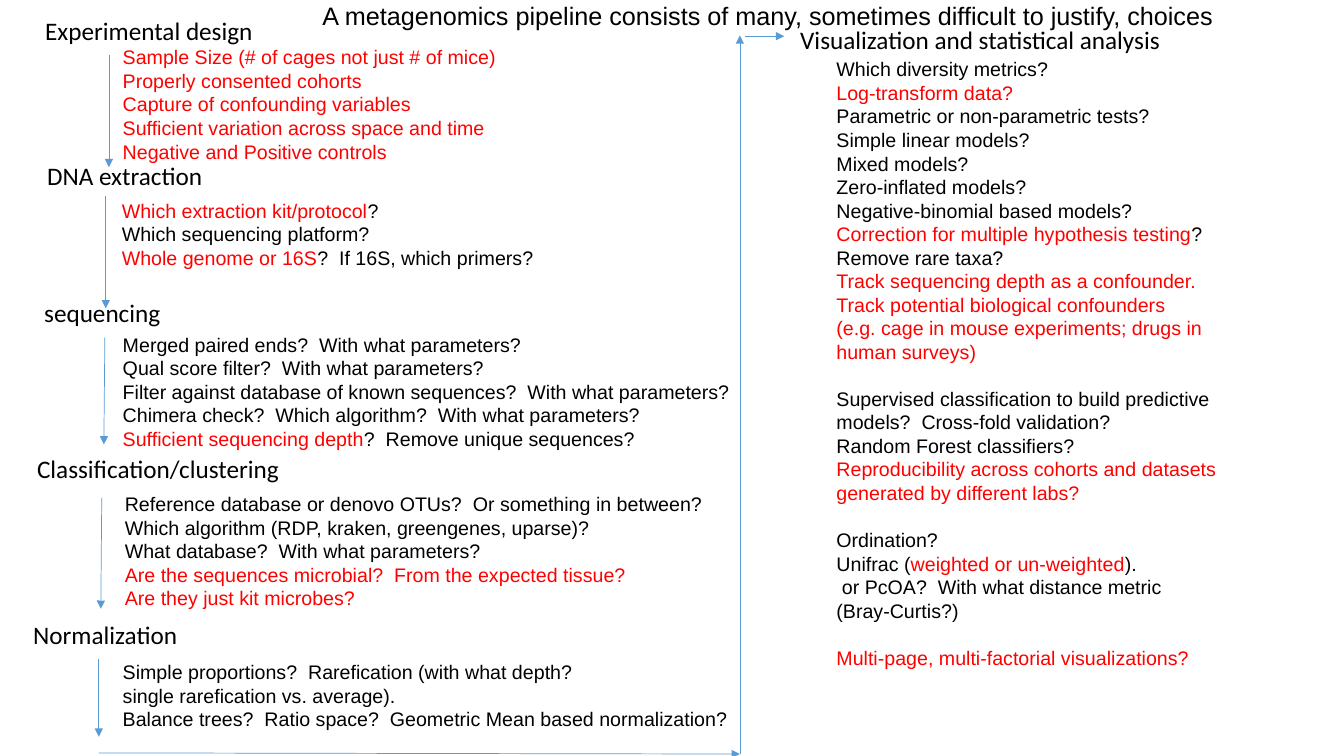
from dataclasses import dataclass
from typing import NamedTuple

from lxml.etree import SubElement
from pptx import Presentation
from pptx.dml.color import RGBColor
from pptx.enum.shapes import MSO_CONNECTOR
from pptx.enum.text import MSO_AUTO_SIZE
from pptx.oxml.ns import qn
from pptx.slide import Slide
from pptx.util import Pt


@dataclass(frozen=True)
class Theme:
    plain: RGBColor = RGBColor(0x00, 0x00, 0x00)
    emphasis: RGBColor = RGBColor(0xFF, 0x00, 0x00)
    flow: RGBColor = RGBColor(0x5B, 0x9B, 0xD5)
    flow_width: float = 0.5
    heading_height: float = 28.8
    group_gap: float = 16.8


THEME = Theme()
TITLE_FORMAT = {"name": "Arial", "size": Pt(18)}
HEADING_FORMAT = {"name": "Calibri", "size": Pt(18)}
CHOICE_FORMAT = {"name": "Arial", "size": Pt(14)}


class Phrase(NamedTuple):
    text: str
    color: RGBColor = THEME.plain


class Box(NamedTuple):
    left: float
    top: float
    width: float
    height: float = THEME.heading_height


class Arrow(NamedTuple):
    from_x: float
    from_y: float
    to_x: float
    to_y: float


Choice = tuple[Phrase, ...]
Group = list[Choice]


@dataclass(frozen=True)
class Stage:
    name: str
    name_box: Box
    choices_box: Box
    arrow: Arrow
    groups: list[Group]
    wrap: bool = False


def plain(*texts: str) -> Group:
    return [(Phrase(text),) for text in texts]


def key(*texts: str) -> Group:
    return [(Phrase(text, THEME.emphasis),) for text in texts]


def key_then_plain(emphasized: str, rest: str) -> Group:
    return [(Phrase(emphasized, THEME.emphasis), Phrase(rest))]


TITLE = "A metagenomics pipeline consists of many, sometimes difficult to justify, choices"

STAGES = [
    Stage(
        "Experimental design", Box(25.2, 7.2, 164.2), Box(80.6, 28.8, 285.8, 92.2),
        Arrow(77.8, 39.6, 77.8, 119.5),
        [key("Sample Size (# of cages not just # of mice)",
             "Properly consented cohorts",
             "Capture of confounding variables",
             "Sufficient variation across space and time",
             "Negative and Positive controls")],
    ),
    Stage(
        "DNA extraction", Box(26.6, 110.9, 126.7), Box(79.9, 138.2, 309.6, 58.3),
        Arrow(75.6, 139.7, 75.6, 220.3),
        [key_then_plain("Which extraction kit/protocol", "?")
         + plain("Which sequencing platform?")
         + key_then_plain("Whole genome or 16S", "?  If 16S, which primers?")],
    ),
    Stage(
        "sequencing", Box(24.5, 208.8, 98.6), Box(80.6, 234, 450, 92.2),
        Arrow(74.9, 241.2, 74.2, 317.5),
        [plain("Merged paired ends?  With what parameters?",
               "Qual score filter?  With what parameters?",
               "Filter against database of known sequences?  With what parameters?",
               "Chimera check?  Which algorithm?  With what parameters?")
         + key_then_plain("Sufficient sequencing depth", "?  Remove unique sequences?")],
    ),
    Stage(
        "Classification/clustering", Box(19.4, 320.4, 189.4), Box(82.1, 347.8, 429.1, 92.2),
        Arrow(72.7, 355.7, 72, 434.9),
        [plain("Reference database or denovo OTUs?  Or something in between?",
               "Which algorithm (RDP, kraken, greengenes, uparse)?",
               "What database?  With what parameters?")
         + key("Are the sequences microbial?  From the expected tissue?",
               "Are they just kit microbes?")],
    ),
    Stage(
        "Normalization", Box(16.6, 438.5, 118.8), Box(80.6, 468, 448.6, 58.3),
        Arrow(70.6, 470.9, 70.6, 526.3),
        [plain("Simple proportions?  Rarefication (with what depth?",
               "single rarefication vs. average).",
               "Balance trees?  Ratio space?  Geometric Mean based normalization?")],
    ),
    Stage(
        "Visualization and statistical analysis", Box(564.5, 13.7, 274.3),
        Box(590.4, 37.4, 362.9, 448.6), Arrow(532.1, 25.9, 560.2, 25.9),
        [plain("Which diversity metrics?")
         + key("Log-transform data?")
         + plain("Parametric or non-parametric tests?",
                 "Simple linear models?",
                 "Mixed models?",
                 "Zero-inflated models?",
                 "Negative-binomial based models?")
         + key_then_plain("Correction for multiple hypothesis testing", "?")
         + plain("Remove rare taxa?")
         + key("Track sequencing depth as a confounder.",
               "Track potential biological confounders",
               "(e.g. cage in mouse experiments; drugs in",
               "human surveys)"),
         plain("Supervised classification to build predictive",
               "models?  Cross-fold validation?",
               "Random Forest classifiers?")
         + key("Reproducibility across cohorts and datasets",
               "generated by different labs?"),
         plain("Ordination?")
         + [(Phrase("Unifrac ("),
             Phrase("weighted or un-weighted", THEME.emphasis),
             Phrase(")."))]
         + plain(" or PcOA?  With what distance metric", "(Bray-Curtis?)"),
         key("Multi-page, multi-factorial visualizations?")],
        wrap=True,
    ),
]

RETURN_PATH = [
    Arrow(70.6, 537.8, 528.5, 538.6),
    Arrow(528.5, 538.6, 528.5, 25.2),
]


def write_groups(slide: Slide, box: Box, groups: list[Group], font_format: dict,
                 wrap: bool = False) -> None:
    frame = slide.shapes.add_textbox(*map(Pt, box)).text_frame
    frame_format = {"word_wrap": wrap, "auto_size": MSO_AUTO_SIZE.SHAPE_TO_FIT_TEXT}
    for attribute, value in frame_format.items():
        setattr(frame, attribute, value)
    for group_index, group in enumerate(groups):
        for choice_index, choice in enumerate(group):
            starts_box = group_index == choice_index == 0
            paragraph = frame.paragraphs[0] if starts_box else frame.add_paragraph()
            if group_index and not choice_index:
                paragraph.space_before = Pt(THEME.group_gap)
            for phrase in choice:
                run = paragraph.add_run()
                run.text = phrase.text
                run.font.color.rgb = phrase.color
                for attribute, value in font_format.items():
                    setattr(run.font, attribute, value)


def draw_arrow(slide: Slide, arrow: Arrow) -> None:
    connector = slide.shapes.add_connector(MSO_CONNECTOR.STRAIGHT, *map(Pt, arrow))
    connector.line.color.rgb = THEME.flow
    connector.line.width = Pt(THEME.flow_width)
    SubElement(connector.line._get_or_add_ln(), qn("a:tailEnd"), type="triangle")
    SubElement(connector._element.spPr, qn("a:effectLst"))


def main() -> None:
    deck = Presentation()
    deck.slide_width, deck.slide_height = Pt(960), Pt(540)
    slide = deck.slides.add_slide(deck.slide_layouts[6])
    write_groups(slide, Box(223.2, -3.6, 656.6), [plain(TITLE)], TITLE_FORMAT)
    for stage in STAGES:
        write_groups(slide, stage.name_box, [plain(stage.name)], HEADING_FORMAT)
        write_groups(slide, stage.choices_box, stage.groups, CHOICE_FORMAT, stage.wrap)
        draw_arrow(slide, stage.arrow)
    for arrow in RETURN_PATH:
        draw_arrow(slide, arrow)
    deck.save("out.pptx")


if __name__ == "__main__":
    main()
